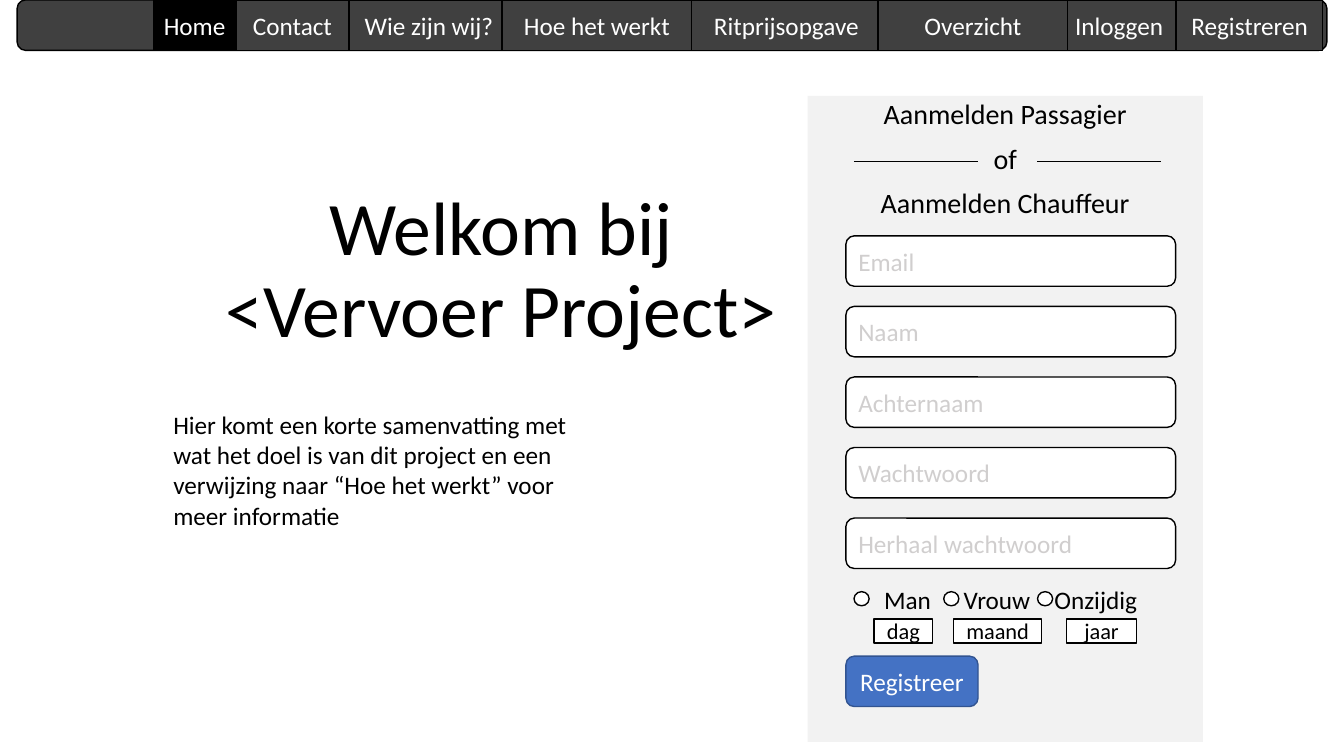
"""Builds the sign-up home page mock-up as one slide."""
from lxml import etree
from pptx import Presentation
from pptx import util as u
from pptx.dml.color import RGBColor
from pptx.enum import shapes, text
from pptx.oxml.ns import qn

PX = 9144
COLORS = {"black": "000000", "white": "FFFFFF", "bar": "404040", "panel": "F2F2F2",
          "hint": "D0CECE", "button": "4472C4", "button_edge": "325491"}
FONT = "Calibri"
KIND = shapes.MSO_SHAPE
ALIGN = text.PP_ALIGN
ANCHOR = text.MSO_ANCHOR

TITLE = "Welkom bij <Vervoer Project>"
SUMMARY = ("Hier komt een korte samenvatting met wat het doel is van dit project "
           "en een verwijzing naar “Hoe het werkt” voor meer informatie")
HEADINGS = ["Aanmelden Passagier", "of", "Aanmelden Chauffeur"]
NAV = [("Home", 152, 82), ("Contact", 234, 112), ("Wie zijn wij?", 346, 159),
       ("Hoe het werkt", 498, 188), ("Ritprijsopgave", 686, 188),
       ("Inloggen", 1054, 112), ("Registreren", 1167, 145), ("Overzicht", 871, 188)]
FIELDS = ["Email", "Naam", "Achternaam", "Wachtwoord", "Herhaal wachtwoord"]
GENDERS = [("Man", 847, 867), ("Vrouw", 936, 946), ("Onzijdig", 1029, 1036)]
BIRTH = [("dag", 867, 58), ("maand", 946, 87), ("jaar", 1058, 69)]
RULES = [847, 1029]

ROW_H = 50
FORM_X, FORM_W = 839, 327
FIELD_Y, FIELD_STEP = 234, 70
RULE_Y, RULE_W = 160, 123

prs = Presentation()
prs.slide_width, prs.slide_height = 1333 * PX, 750 * PX
slide = prs.slides.add_slide(prs.slide_layouts[6])


def rgb(name):
    return RGBColor.from_string(COLORS[name])


def write(sp, lines, size=18, color="black", align=ALIGN.CENTER,
          anchor=ANCHOR.MIDDLE, **spacing):
    tf = sp.text_frame
    tf.word_wrap, tf.vertical_anchor = True, anchor
    for i, line in enumerate(lines):
        p = tf.paragraphs[0] if i == 0 else tf.add_paragraph()
        for key, value in {"alignment": align, **spacing}.items():
            setattr(p, key, value)
        r = p.add_run()
        r.text = line
        for key, value in {"name": FONT, "size": u.Pt(size)}.items():
            setattr(r.font, key, value)
        r.font.color.rgb = rgb(color)


def box(kind, x, y, w, h, fill, edge="black"):
    sp = slide.shapes.add_shape(kind, x * PX, y * PX, w * PX, h * PX)
    sp.shadow.inherit = False
    sp.fill.solid()
    sp.fill.fore_color.rgb = rgb(fill)
    if edge:
        sp.line.color.rgb, sp.line.width = rgb(edge), u.Pt(1)
    else:
        sp.line.fill.background()
    return sp


def label(x, y, w, h, line, **fmt):
    write(slide.shapes.add_textbox(x * PX, y * PX, w * PX, h * PX), [line], **fmt)


def rule(x):
    sp = slide.shapes.add_connector(shapes.MSO_CONNECTOR.STRAIGHT, x * PX, RULE_Y * PX,
                                    (x + RULE_W) * PX, RULE_Y * PX)
    sp.line.color.rgb, sp.line.width = rgb("black"), u.Pt(0.5)
    etree.SubElement(sp._element.spPr, qn("a:effectLst"))


label(193, 95, 608, 261, TITLE, size=54, anchor=ANCHOR.BOTTOM, line_spacing=0.9)
label(162, 401, 448, 131, SUMMARY, align=ALIGN.LEFT, anchor=ANCHOR.TOP)

panel = box(KIND.RECTANGLE, 801, 95, 392, 641, "panel", None)
write(panel, HEADINGS, size=20, anchor=ANCHOR.TOP, line_spacing=0.9, space_before=u.Pt(10))
for x in RULES:
    rule(x)

box(KIND.ROUNDED_RECTANGLE, 17, 0, 1299, ROW_H, "bar")
for name, x, w in NAV:
    fill = "black" if name == "Home" else "bar"
    write(box(KIND.RECTANGLE, x, 0, w, ROW_H, fill), [name], color="white")

for i, name in enumerate(FIELDS):
    field = box(KIND.ROUNDED_RECTANGLE, FORM_X, FIELD_Y + i * FIELD_STEP, FORM_W, ROW_H, "white")
    write(field, [name], color="hint", align=ALIGN.LEFT)

for name, dot_x, text_x in GENDERS:
    box(KIND.OVAL, dot_x, 587, 15, 14, "white")
    label(text_x, 575, 110, 40, name, align=ALIGN.LEFT, anchor=ANCHOR.TOP)

for name, x, w in BIRTH:
    write(box(KIND.RECTANGLE, x, 614, w, 24, "white"), [name], size=16)

button = box(KIND.ROUNDED_RECTANGLE, FORM_X, 651, 131, ROW_H, "button", "button_edge")
write(button, ["Registreer"], color="white")

prs.save("out.pptx")
